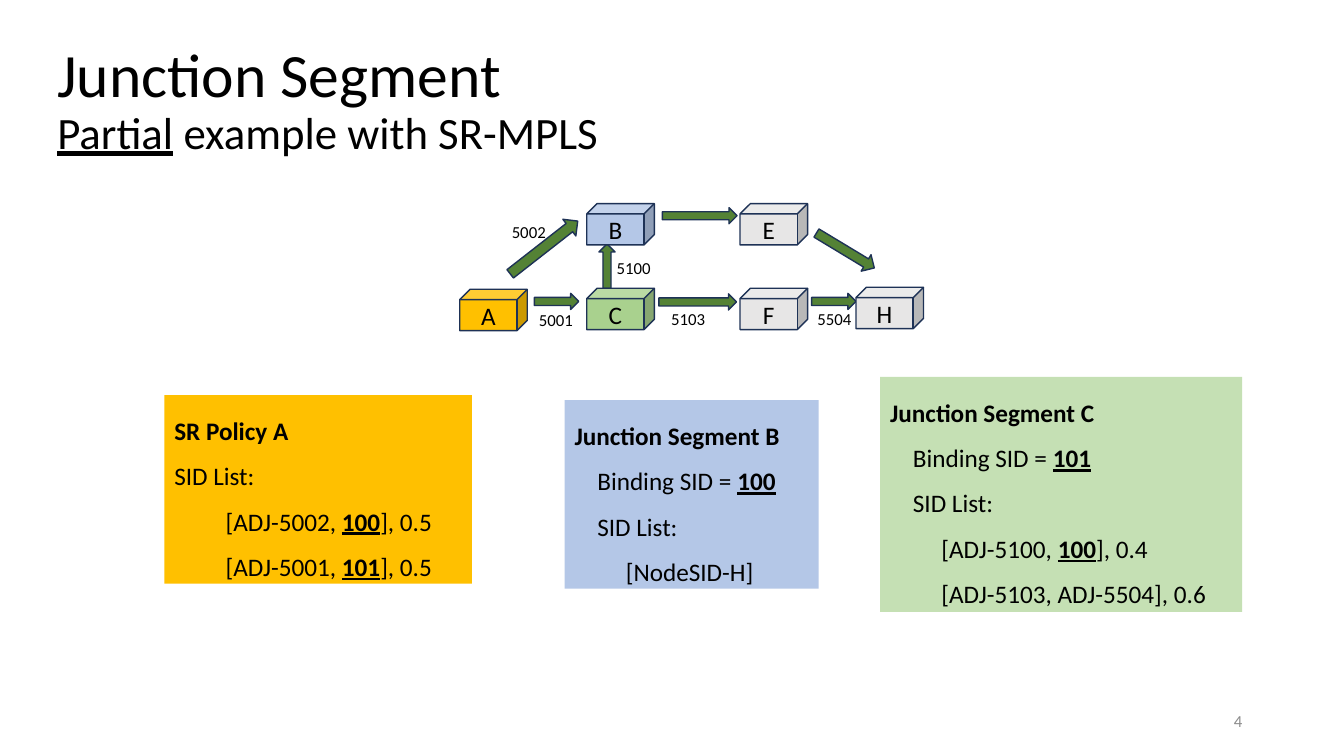
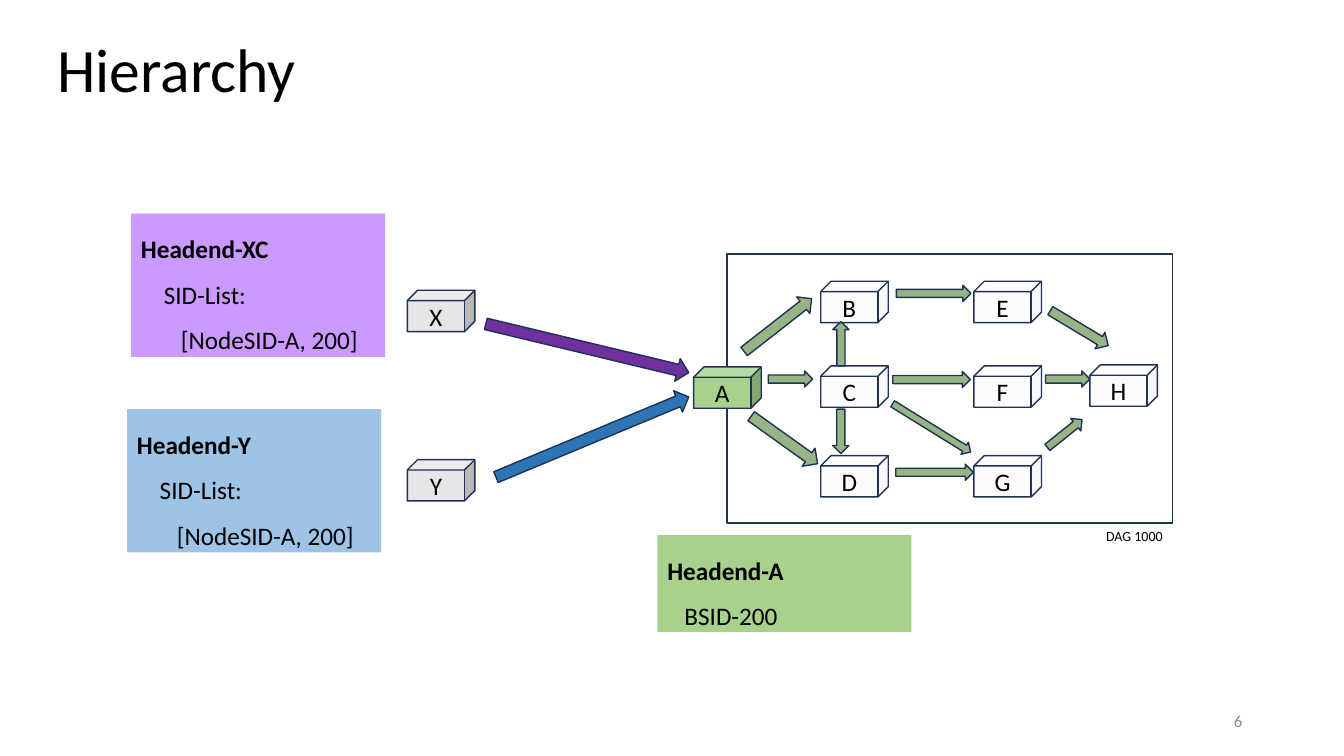
from lxml import etree
from pptx import Presentation
from pptx.dml.color import RGBColor
from pptx.enum.shapes import MSO_SHAPE
from pptx.enum.text import MSO_ANCHOR, MSO_AUTO_SIZE, PP_ALIGN
from pptx.oxml.ns import qn
from pptx.util import Inches, Pt

FONT = "Calibri"
STEP = 0.0565  # inches of indent per character space at 18 pt
COLORS = {
    "black": "000000", "number": "8C8C8C", "edge": "1E3256",
    "grey": "E7E6E6", "gold": "FFC000", "blue": "B4C7E7",
    "green": "A9D18E", "mint": "C5E0B4", "sky": "9DC3E6",
    "violet": "A44CFF", "leaf": "548235", "purple": "7030A0",
    "navy": "2E75B6",
}


def draw(slide, kind, at, fill=None, alpha=100, edge=True, turn=0):
    """Add a preset shape; alpha is the opacity of its fill in percent."""
    shape = slide.shapes.add_shape(kind, *map(Inches, at))
    shape.shadow.inherit = False
    shape.rotation = turn
    if fill:
        shape.fill.solid()
        shape.fill.fore_color.rgb = RGBColor.from_string(COLORS[fill])
        if alpha < 100:
            color = shape.fill._xPr.find(".//" + qn("a:srgbClr"))
            etree.SubElement(color, qn("a:alpha"), val=str(alpha * 1000))
    else:
        shape.fill.background()
    if edge:
        shape.line.color.rgb = RGBColor.from_string(COLORS["edge"])
        shape.line.width = Pt(1)
    else:
        shape.line.fill.background()
    return shape


def write(shape, lines, size=18, color="black", align=PP_ALIGN.LEFT,
          anchor=MSO_ANCHOR.MIDDLE, space=None, fit=MSO_AUTO_SIZE.NONE):
    """Fill in (indent, text) lines; text between asterisks is bold and underlined."""
    frame = shape.text_frame
    frame.word_wrap = True
    frame.auto_size = fit
    frame.vertical_anchor = anchor
    for i, (indent, text) in enumerate(lines):
        para = frame.add_paragraph() if i else frame.paragraphs[0]
        para.alignment = align
        para.line_spacing = space
        para.font.name = FONT
        para.font.size = Pt(size)
        para.font.color.rgb = RGBColor.from_string(COLORS[color])
        if indent:
            para._p.get_or_add_pPr().set("marL", str(Inches(indent * STEP)))
        for j, part in enumerate(text.split("*")):
            run = para.add_run()
            run.text = part
            if j % 2:
                run.font.bold = run.font.underline = True
    return frame


# The network that both slides show; the second moves it by a fixed offset.
NODES = {
    "B": (5.82, 2.02), "C": (5.82, 2.86), "A": (4.56, 2.87),
    "E": (7.34, 2.02), "F": (7.34, 2.86), "H": (8.49, 2.85),
}
LINKS = [  # left, top, width, height, rotation
    (6.84, 2.61, 0.16, 0.77, 270), (8.19, 2.77, 0.16, 0.44, 270),
    (5.44, 2.77, 0.16, 0.44, 270), (5.29, 2.03, 0.21, 0.85, 232),
    (6.86, 1.77, 0.16, 0.74, 270), (8.29, 2.15, 0.19, 0.67, 301.1),
    (5.94, 2.42, 0.16, 0.44, 180),
]
DX, DY = 2.32, 0.77
MOVED = {name: (x + DX, y + DY) for name, (x, y) in NODES.items()}
HEADEND = [(4, "SID-List:"), (7, "[NodeSID-A, 200]")]

PAGES = [
    {
        "title": "Junction Segment", "top": 0.28, "number": "4",
        "nodes": NODES, "links": LINKS, "alpha": (100, 100),
        "fills": {"A": "gold", "B": "blue", "C": "green"},
        "boxes": [
            ((8.73, 3.74, 3.59, 2.33), "mint", 100, "Junction Segment C", [
                (4, "Binding SID = *101*"), (4, "SID List:"),
                (9, "[ADJ-5100, *100*], 0.4"),
                (9, "[ADJ-5103, ADJ-5504], 0.6")]),
            ((5.6, 3.97, 2.52, 1.87), "blue", 100, "Junction Segment B", [
                (4, "Binding SID = *100*"), (4, "SID List:"),
                (9, "[NodeSID-H]")]),
            ((1.63, 3.92, 3.05, 1.87), "gold", 100, "SR Policy A", [
                (0, "SID List:"), (9, "[ADJ-5002, *100*], 0.5"),
                (9, "[ADJ-5001, *101*], 0.5")]),
        ],
    },
    {
        "title": "Hierarchy", "top": -0.01, "number": "6",
        "nodes": MOVED | {"D": (8.14, 4.52), "G": (9.66, 4.52)},
        "links": [(x + DX, y + DY, *rest) for x, y, *rest in LINKS] + [
            (9.19, 4.3, 0.16, 0.77, 270), (10.48, 4.08, 0.16, 0.44, 231.3),
            (7.67, 3.96, 0.22, 0.81, 305.6), (8.26, 4.06, 0.16, 0.44, 0),
            (9.17, 3.79, 0.14, 0.91, 301.7),
        ],
        "alpha": (9, 60), "fills": {"A": "green"},
        "boxes": [
            ((6.52, 5.31, 2.52, 0.96), "green", 100, "Headend-A",
             [(3, "BSID-200")]),
            ((1.3, 2.12, 2.52, 1.42), "violet", 56, "Headend-XC", HEADEND),
            ((1.26, 4.06, 2.52, 1.42), "sky", 100, "Headend-Y", HEADEND),
        ],
    },
]

deck = Presentation()
deck.slide_width, deck.slide_height = Inches(13.33), Inches(7.5)
heads, slides = [], []

for page in PAGES:
    slide = deck.slides.add_slide(deck.slide_layouts[6])
    slides.append(slide)
    title = slide.shapes.add_textbox(
        *map(Inches, (0.47, page["top"], 11.5, 1.45)))
    heads.append(write(title, [(0, page["title"])], 44, space=0.9))

    faint, soft = page["alpha"]
    for *at, turn in page["links"]:
        draw(slide, MSO_SHAPE.DOWN_ARROW, at, "leaf", soft, turn=turn)

    if page["title"] == "Hierarchy":
        draw(slide, MSO_SHAPE.RECTANGLE, (7.21, 2.52, 4.42, 2.67))

    for name, (x, y) in page["nodes"].items():
        fill = page["fills"].get(name)
        node = draw(slide, MSO_SHAPE.CUBE, (x, y, 0.67, 0.41),
                    fill or "grey", 100 if fill else faint)
        write(node, [(0, name)], align=PP_ALIGN.CENTER)

    for at, fill, alpha, head, lines in page["boxes"]:
        box = draw(slide, MSO_SHAPE.RECTANGLE, at, fill, alpha, edge=False)
        frame = write(box, [(0, head)] + lines, anchor=MSO_ANCHOR.TOP,
                      space=1.5, fit=MSO_AUTO_SIZE.SHAPE_TO_FIT_TEXT)
        frame.paragraphs[0].runs[0].font.bold = True

    number = slide.shapes.add_textbox(*map(Inches, (9.42, 6.95, 3, 0.4)))
    write(number, [(0, page["number"])], 12, "number", PP_ALIGN.RIGHT)

first, second = slides

# Second line of the first title
para = heads[0].paragraphs[0]
para.add_line_break()
for text, under in [("Partial", True), (" example with SR-MPLS", False)]:
    run = para.add_run()
    run.text = text
    run.font.size = Pt(32)
    run.font.underline = under

# Adjacency labels
for text, x, y in [("5100", 5.95, 2.51), ("5103", 6.49, 3.01),
                   ("5504", 7.94, 3.01), ("5002", 4.91, 2.15),
                   ("5001", 5.18, 3.02)]:
    label = first.shapes.add_textbox(*map(Inches, (x, y, 0.67, 0.3)))
    write(label, [(0, text)], 12, align=PP_ALIGN.CENTER, anchor=MSO_ANCHOR.TOP)

# Headends X and Y, each with its path to A
for name, y, at, fill, turn in [
        ("X", 2.88, (5.71, 2.42, 0.23, 2.07), "purple", 283.5),
        ("Y", 4.56, (5.76, 3.3, 0.23, 2.07), "navy", 247.4)]:
    node = draw(second, MSO_SHAPE.CUBE, (4.04, y, 0.67, 0.41), "grey")
    write(node, [(0, name)], align=PP_ALIGN.CENTER)
    draw(second, MSO_SHAPE.DOWN_ARROW, at, fill, turn=turn)

label = second.shapes.add_textbox(*map(Inches, (10.38, 5.18, 1.25, 0.27)))
write(label, [(0, "DAG 1000")], 10, align=PP_ALIGN.RIGHT, anchor=MSO_ANCHOR.TOP)

deck.save("out.pptx")
